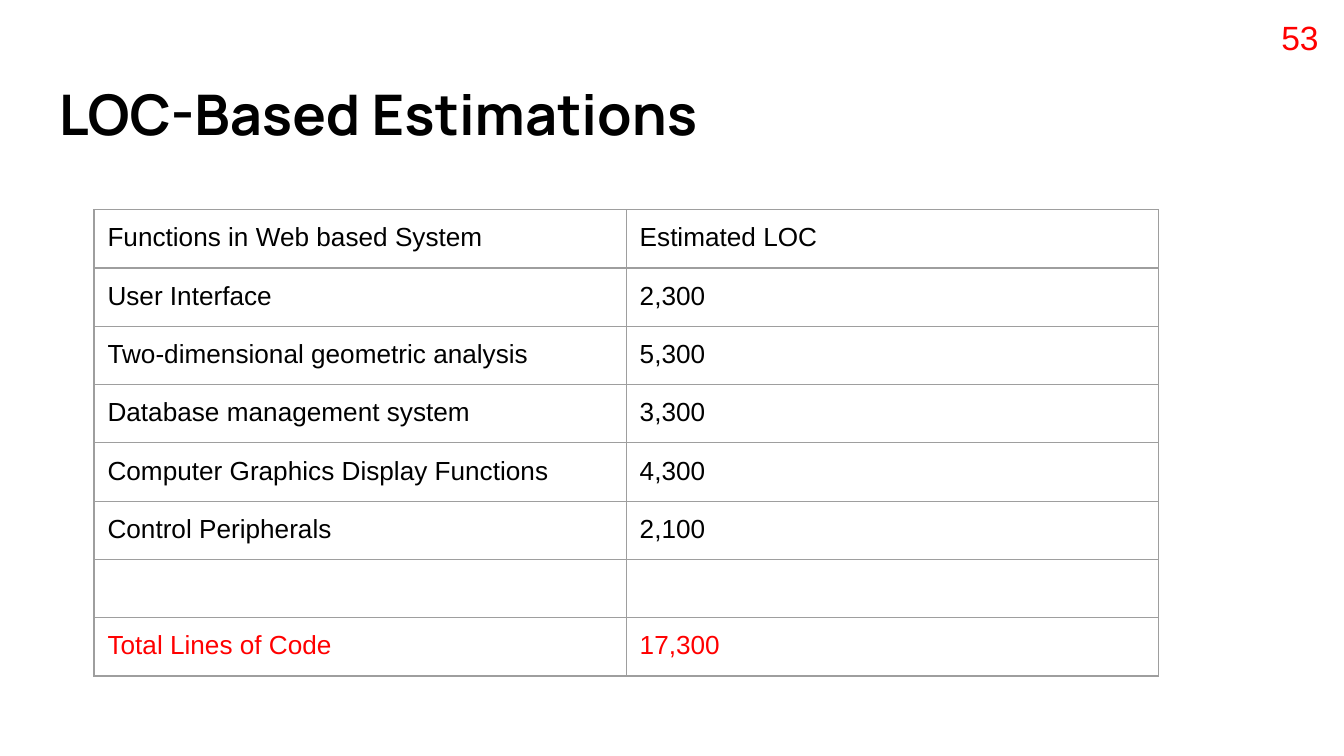
import pptx
import pptx.dml.color
import pptx.enum.text
import pptx.oxml
import pptx.oxml.ns
import pptx.util
from lxml import etree

WIDE = 10
HIGH = WIDE * 9 / 16
INSET = 0.1
RED, BLACK, GREY = "FF0000", "000000", "9E9E9E"
ALIGN = pptx.enum.text.PP_ALIGN
ANCHOR = pptx.enum.text.MSO_ANCHOR
ROWS = [
    ("Functions in Web based System", "Estimated LOC"),
    ("User Interface", "2,300"),
    ("Two-dimensional geometric analysis", "5,300"),
    ("Database management system", "3,300"),
    ("Computer Graphics Display Functions", "4,300"),
    ("Control Peripherals", "2,100"),
    ("", ""),
    ("Total Lines of Code", "17,300"),
]


def inch(size):
    return pptx.util.Inches(size)


def paint(font, color):
    font.color.rgb = pptx.dml.color.RGBColor.from_string(color)


def pad(frame):
    """Give a text frame or a cell equal margins."""
    for side in ("left", "right", "top", "bottom"):
        setattr(frame, "margin_" + side, inch(INSET))


def write(para, text, color, style):
    run = para.add_run()
    run.text = text
    for name, value in style.items():
        setattr(run.font, name, value)
    paint(run.font, color)


def label(slide, box, text, color, style, align=ALIGN.LEFT, anchor=ANCHOR.TOP):
    frame = slide.shapes.add_textbox(*map(inch, box)).text_frame
    frame.word_wrap = True
    frame.vertical_anchor = anchor
    pad(frame)
    para = frame.paragraphs[0]
    para.alignment = align
    write(para, text, color, style)


def border(cell, color, width):
    props = cell._tc.get_or_add_tcPr()
    space = pptx.oxml.ns.nsdecls("a")
    for spot, side in enumerate("LRTB"):
        line = pptx.oxml.parse_xml(
            f'<a:ln{side} {space} w="{pptx.util.Pt(width)}"><a:solidFill>'
            f'<a:srgbClr val="{color}"/></a:solidFill></a:ln{side}>')
        props.insert(spot, line)


def fill(cell, text, color, style):
    cell.fill.background()
    pad(cell)
    para = cell.text_frame.paragraphs[0]
    para.line_spacing = 1.0
    if text:
        write(para, text, color, style)
    else:
        end = etree.SubElement(para._p, pptx.oxml.ns.qn("a:endParaRPr"))
        end.set("sz", str(int(style["size"].pt * 100)))
    border(cell, GREY, 0.75)


def table(slide, box, rows):
    """Draw equal columns and rows, with the total in red."""
    frame = slide.shapes.add_table(len(rows), len(rows[0]), *map(inch, box))
    grid = frame.table
    grid.first_row = grid.horz_banding = False
    style = {"size": pptx.util.Pt(14), "name": "Arial"}
    for r, row in enumerate(rows):
        grid.rows[r].height = pptx.util.Pt(30)
        color = RED if r == len(rows) - 1 else BLACK
        for c, text in enumerate(row):
            fill(grid.cell(r, c), text, color, style)
    frame.height = inch(box[3])


def main():
    deck = pptx.Presentation()
    deck.slide_width, deck.slide_height = inch(WIDE), inch(HIGH)
    slide = deck.slides.add_slide(deck.slide_layouts[6])
    label(slide, (0.34, 0.49, 9.32, 0.68), "LOC-Based Estimations", BLACK,
          {"size": pptx.util.Pt(30), "name": "Manrope", "bold": True})
    label(slide, (9.31, 0.06, 0.6, 0.43), "53", RED,
          {"size": pptx.util.Pt(18), "name": "Arial"}, ALIGN.RIGHT, ANCHOR.MIDDLE)
    table(slide, (0.7, 1.56, 7.92, 3.47), ROWS)
    deck.save("out.pptx")


if __name__ == "__main__":
    main()
